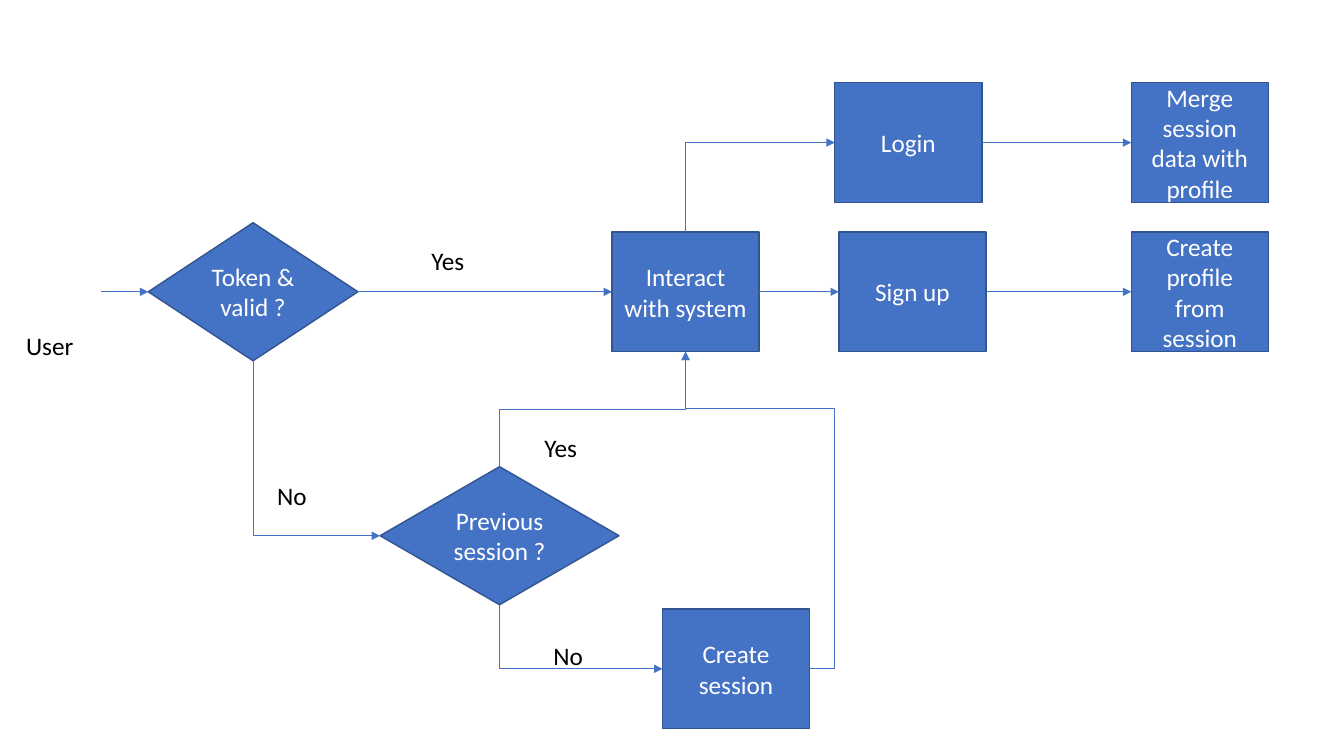
from lxml import etree
from pptx import Presentation
from pptx.dml.color import RGBColor
from pptx.enum import shapes, text
from pptx.oxml.ns import qn
from pptx.util import Inches, Pt

COLORS = {"fill": "4472C4", "edge": "325491", "light": "FFFFFF", "dark": "000000"}
TOP, LEFT, BOTTOM, RIGHT = range(4)  # connection sites


class Flowchart:
    def __init__(self, slide, font="Calibri", size=18):
        self.s, self.font, self.size = slide, font, size

    def color(self, name):
        return RGBColor.from_string(COLORS[name])

    def add_text(self, tf, words, color):
        p = tf.paragraphs[0]
        r = p.add_run()
        r.text = words
        r.font.name, r.font.size = self.font, Pt(self.size)
        r.font.color.rgb = self.color(color)
        return p

    def node(self, words, x, y, w=1.46, h=1.19, kind=shapes.MSO_SHAPE.RECTANGLE):
        sp = self.s.shapes.add_shape(kind, Inches(x), Inches(y), Inches(w), Inches(h))
        sp.shadow.inherit = False
        sp.fill.solid()
        sp.fill.fore_color.rgb = self.color("fill")
        sp.line.color.rgb = self.color("edge")
        sp.line.width = Pt(1)
        tf = sp.text_frame
        tf.word_wrap = True
        tf.vertical_anchor = text.MSO_ANCHOR.MIDDLE
        self.add_text(tf, words, "light").alignment = text.PP_ALIGN.CENTER
        return sp

    def decision(self, words, x, y, w):
        return self.node(words, x, y, w, 1.37, shapes.MSO_SHAPE.DIAMOND)

    def label(self, words, x, y, w):
        sp = self.s.shapes.add_textbox(Inches(x), Inches(y), Inches(w), Inches(0.4))
        tf = sp.text_frame
        tf.word_wrap = False
        tf.auto_size = text.MSO_AUTO_SIZE.SHAPE_TO_FIT_TEXT
        self.add_text(tf, words, "dark")

    def style_arrow(self, c):
        c.line.color.rgb = self.color("fill")
        c.line.width = Pt(0.5)
        line = c._element.spPr.find(qn("a:ln"))
        etree.SubElement(line, qn("a:tailEnd"), type="triangle")
        etree.SubElement(c._element.spPr, qn("a:effectLst"))

    def entry_arrow(self, x, node):
        y = node.top + node.height // 2
        c = self.s.shapes.add_connector(
            shapes.MSO_CONNECTOR.STRAIGHT, Inches(x), y, node.left, y)
        c.end_connect(node, LEFT)
        self.style_arrow(c)

    def arrow(self, start, start_site, end, end_site, bend=None):
        """Glue an arrow to two nodes; bend is (preset, rotation, flips, adjustments)."""
        kind = shapes.MSO_CONNECTOR.ELBOW if bend else shapes.MSO_CONNECTOR.STRAIGHT
        c = self.s.shapes.add_connector(kind, 0, 0, 0, 0)
        c.begin_connect(start, start_site)
        c.end_connect(end, end_site)
        if bend:
            self.bend(c, *bend)
        self.style_arrow(c)

    def bend(self, c, preset, rotation, flips, adjustments=()):
        """Set the elbow's route, swapping its box about the centre on a quarter turn."""
        if rotation % 180:
            shift = (c.width - c.height) // 2
            c.left, c.top, c.width, c.height = (
                c.left + shift, c.top - shift, c.height, c.width)
        xfrm = c._element.spPr.find(qn("a:xfrm"))
        xfrm.set("rot", str(rotation * 60000))
        xfrm.set("flipH", str(int("h" in flips)))
        xfrm.set("flipV", str(int("v" in flips)))
        geom = c._element.spPr.find(qn("a:prstGeom"))
        geom.set("prst", preset)
        guides = geom.find(qn("a:avLst"))
        for i, value in enumerate(adjustments, 1):
            etree.SubElement(guides, qn("a:gd"), name=f"adj{i}",
                             fmla=f"val {round(value * 100000)}")


def main():
    prs = Presentation()
    prs.slide_width, prs.slide_height = Inches(13.33), Inches(7.5)
    f = Flowchart(prs.slides.add_slide(prs.slide_layouts[6]))

    top_row, main_row, last_column = 0.82, 2.3, 11.22
    token = f.decision("Token & valid ?", 1.47, 2.21, 2.08)
    previous = f.decision("Previous session ?", 3.77, 4.63, 2.37)
    interact = f.node("Interact with system", 6.07, main_row)
    create = f.node("Create session", 6.57, 6.04)
    login = f.node("Login", 8.28, top_row)
    sign_up = f.node("Sign up", 8.32, main_row)
    merge = f.node("Merge session data with profile", last_column, top_row, 1.36)
    profile = f.node("Create profile from session", last_column, main_row, 1.36)

    f.entry_arrow(1, token)
    for start, end in ((token, interact), (interact, sign_up),
                       (login, merge), (sign_up, profile)):
        f.arrow(start, RIGHT, end, LEFT)

    down_right = ("bentConnector2", 270, "h")
    f.arrow(token, BOTTOM, previous, LEFT, down_right)
    f.arrow(previous, BOTTOM, create, LEFT, down_right)
    f.arrow(interact, TOP, login, LEFT, ("bentConnector2", 90, "hv"))
    f.arrow(previous, TOP, interact, BOTTOM, ("bentConnector3", 90, "hv", (0.5,)))
    f.arrow(create, RIGHT, interact, BOTTOM,
            ("bentConnector4", 0, "hv", (-0.2, 0.82)))

    for words, x, y, w in (("User", 0.16, 3.23, 0.68),
                           ("Yes", 4.18, 2.38, 0.53), ("No", 2.65, 4.72, 0.5),
                           ("Yes", 5.3, 4.24, 0.53), ("No", 5.39, 6.3, 0.5)):
        f.label(words, x, y, w)

    prs.save("out.pptx")


if __name__ == "__main__":
    main()
